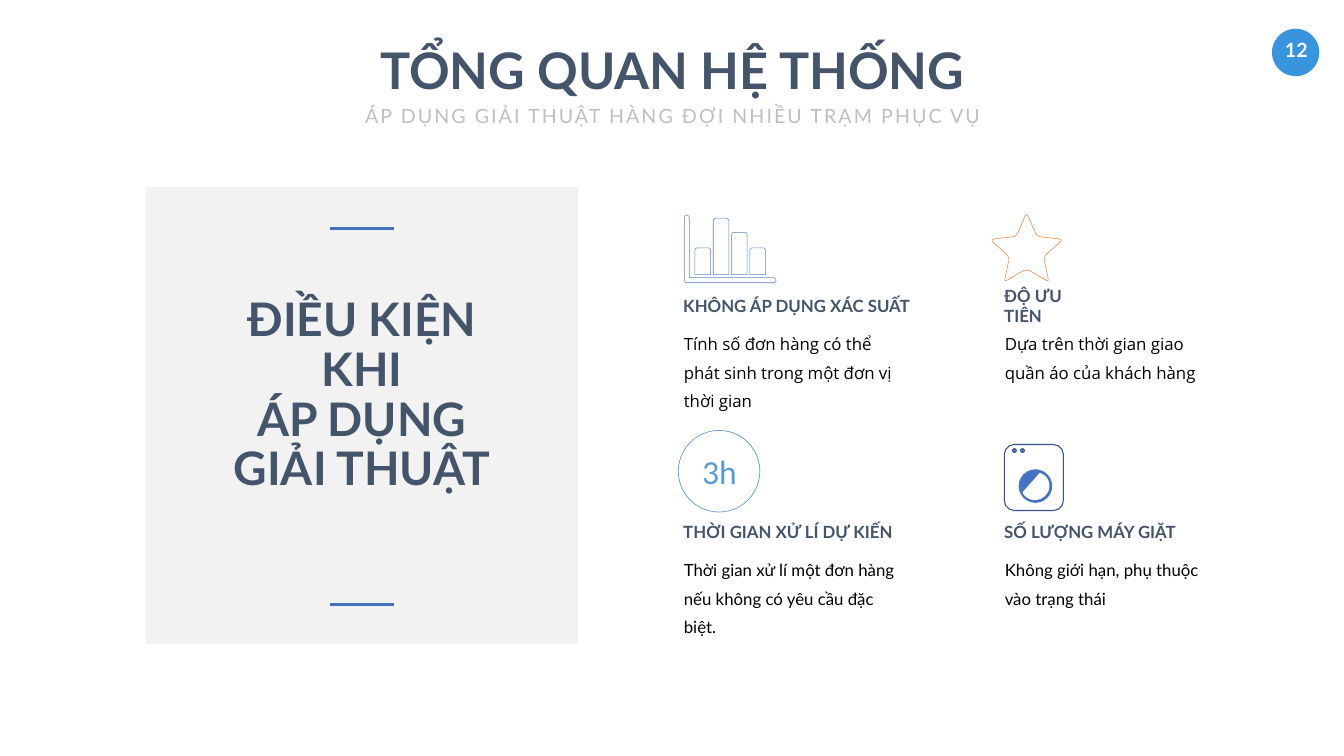
from pptx import Presentation
from pptx import util as u
from pptx.dml.color import RGBColor
from pptx.enum import shapes, text
from lxml import etree

W, H = u.Inches(26.67), u.Inches(15)
C = {"badge": "3895DD", "panel": "F2F2F2", "navy": "44546A", "grey": "BFBFBF",
     "blue": "4472C4", "bars": "5B84CB", "star": "ED7D31", "clock": "5B9BD5",
     "washer": "325491", "white": "FFFFFF", "black": "000000"}
A = "http://schemas.openxmlformats.org/drawingml/2006/main"
MSO = shapes.MSO_SHAPE
LEFT, CENTER = text.PP_ALIGN.LEFT, text.PP_ALIGN.CENTER

# Grid of the four conditions, in percent of the slide
COL0, COL_STEP, ROW0, ROW_STEP = 50.47, 23.88, 38.8, 29.87
CONDITIONS = [  # column, row, heading width, heading, body, body font
    (0, 0, 17.96, "KHÔNG ÁP DỤNG XÁC SUẤT",
     "Tính số đơn hàng có thể phát sinh trong một đơn vị thời gian", "Open Sans"),
    (1, 0, 8.06, "ĐỘ ƯU TIÊN",
     "Dựa trên thời gian giao quần áo của khách hàng", "Open Sans"),
    (0, 1, 16.46, "THỜI GIAN XỬ LÍ DỰ KIẾN",
     "Thời gian xử lí một đơn hàng nếu không có yêu cầu đặc biệt.", "Lato"),
    (1, 1, 14.06, "SỐ LƯỢNG MÁY GIẶT",
     "Không giới hạn, phụ thuộc vào trạng thái", "Lato"),
]
# Outlines in hundredths of an inch
AXIS = [(3, 0), (1, 2), (0, 5), (0, 129), (1, 132), (3, 134), (178, 134),
        (181, 132), (182, 129), (181, 126), (178, 124), (10, 124), (10, 5),
        (9, 2), (6, 0)]
HALF_STAR = [(0, 0), (2, 1), (3, 3), (18, 37), (22, 42), (28, 44), (65, 48),
             (69, 50), (67, 54), (39, 79), (35, 86), (35, 90), (43, 127),
             (43, 131), (39, 130), (6, 111), (0, 110)]


def x(pct):
    return round(W * pct / 100)


def y(pct):
    return round(H * pct / 100)


def rgb(name):
    return RGBColor.from_string(C[name])


def paint(sp, fill=None, line=None, width=0.75):
    sp.shadow.inherit = False
    if fill:
        sp.fill.solid()
        sp.fill.fore_color.rgb = rgb(fill)
    else:
        sp.fill.background()
    if line:
        sp.line.color.rgb = rgb(line)
        sp.line.width = u.Pt(width)
    else:
        sp.line.fill.background()
    return sp


def add_shape(s, kind, box, **style):
    """Place a preset shape; box is left, top, width, height in percent."""
    l, t, w, h = box
    return paint(s.shapes.add_shape(kind, x(l), y(t), x(w), y(h)), **style)


def add_outline(s, left, top, points, line):
    """Draw a closed outline whose local zero lies at left, top in percent."""
    fb = s.shapes.build_freeform(*points[0], scale=u.Inches(0.01))
    fb.add_line_segments(points[1:], close=True)
    paint(fb.convert_to_shape(x(left), y(top)), "white", line)


def add_rule(s, left, right, top):
    cn = s.shapes.add_connector(shapes.MSO_CONNECTOR.STRAIGHT,
                                x(left), y(top), x(right), y(top))
    cn.line.color.rgb = rgb("blue")
    cn.line.width = u.Pt(4.5)
    etree.SubElement(cn._element.spPr, f"{{{A}}}effectLst")


def add_text(s, box, lines, size, color, font="Lato", bold=False, align=CENTER,
             wrap=False, middle=False, inset=(0.1, 0.05), spacing=None,
             before=None, tracking=None):
    """Write one paragraph per line; inset is horizontal, vertical in inches."""
    l, t, w, h = box
    tf = s.shapes.add_textbox(x(l), y(t), x(w), y(h)).text_frame
    tf.word_wrap = wrap
    tf.margin_left = tf.margin_right = u.Inches(inset[0])
    tf.margin_top = tf.margin_bottom = u.Inches(inset[1])
    if middle:
        tf.vertical_anchor = text.MSO_ANCHOR.MIDDLE
    for i, line in enumerate(lines):
        p = tf.add_paragraph() if i else tf.paragraphs[0]
        p.alignment = align
        if spacing:
            p.line_spacing = spacing
        if before:
            p.space_before = before
        r = p.add_run()
        r.text = line
        r.font.size, r.font.name, r.font.bold = u.Pt(size), font, bold
        r.font.color.rgb = rgb(color)
        if tracking:
            r._r.get_or_add_rPr().set("spc", str(tracking * 100))


def add_header(s):
    add_shape(s, MSO.OVAL, (94.64, 3.8, 3.52, 6.27), fill="badge")
    add_text(s, (94.75, 4.4, 3.41, 4.47), ["12"], 28, "white", bold=True,
             inset=(0.2, 0.1))
    add_text(s, (27.78, 4.8, 44.47, 8.73), ["TỔNG QUAN HỆ THỐNG"], 72, "navy",
             bold=True)
    add_text(s, (25.95, 12.33, 48.22, 5),
             ["ÁP DỤNG GIẢI THUẬT HÀNG ĐỢI NHIỀU TRẠM PHỤC VỤ"], 28, "grey",
             inset=(0.24, 0.12), spacing=1.2, before=u.Pt(5.6), tracking=3)


def add_panel(s):
    add_shape(s, MSO.RECTANGLE, (10.84, 24.73, 32.17, 60.4), fill="panel")
    for top in (30.2, 79.93):
        add_rule(s, 24.52, 29.32, top)
    add_text(s, (16.69, 38.8, 20.47, 27.2),
             ["ĐIỀU KIỆN", "KHI", "ÁP DỤNG", "GIẢI THUẬT"], 66, "navy",
             bold=True, spacing=u.Pt(71.2))


def add_condition(s, col, row, width, heading, body, font):
    left, top = COL0 + col * COL_STEP, ROW0 + row * ROW_STEP
    add_text(s, (left, top, width, 3.33), [heading], 24, "navy", bold=True,
             align=LEFT, wrap=True, middle=True)
    add_text(s, (left - 0.49, top + 3.53, 17.89, 12.4 if col == 0 else 8.67),
             [body], 24, "black", font, align=LEFT, wrap=True,
             inset=(0.24, 0.12), spacing=u.Pt(40.4), before=u.Pt(4.8))


def add_chart_icon(s):
    add_outline(s, 50.92, 28.47, AXIS, "bars")
    for i, h in enumerate((3.55, 7.47, 5.6, 3.55)):
        bar = add_shape(s, MSO.ROUND_2_SAME_RECTANGLE,
                        (51.71 + 1.36 * i, 36.33 - h, 1.16, h),
                        fill="white", line="bars")
        bar.adjustments[0] = 0.16


def add_star_icon(s):
    mirrored = [(-px, py) for px, py in HALF_STAR[-2:0:-1]]
    add_outline(s, 76.38, 28.4, HALF_STAR + mirrored, "star")


def add_clock_icon(s):
    add_shape(s, MSO.OVAL, (50.47, 56.93, 6.07, 10.8), line="clock", width=1)
    add_text(s, (51.86, 59.33, 3.34, 6.07), ["3h"], 48, "clock", "Calibri")


def add_washer_icon(s):
    add_shape(s, MSO.ROUNDED_RECTANGLE, (74.73, 58.8, 4.39, 8.73),
              line="washer", width=1.5)
    add_shape(s, MSO.OVAL, (75.82, 62.13, 2.44, 4.33), fill="blue",
              line="blue", width=1)
    water = add_shape(s, MSO.CHORD, (76, 62.4, 2.06, 3.8), fill="white")
    water.rotation = 243.8
    for i in range(2):
        add_shape(s, MSO.OVAL, (75.33 + 0.6 * i, 59.33, 0.3, 0.53),
                  fill="blue", line="washer", width=1)


def main():
    prs = Presentation()
    prs.slide_width, prs.slide_height = W, H
    s = prs.slides.add_slide(prs.slide_layouts[6])
    add_header(s)
    add_panel(s)
    for condition in CONDITIONS:
        add_condition(s, *condition)
    for add_icon in (add_chart_icon, add_star_icon, add_clock_icon, add_washer_icon):
        add_icon(s)
    prs.save("out.pptx")


if __name__ == "__main__":
    main()
